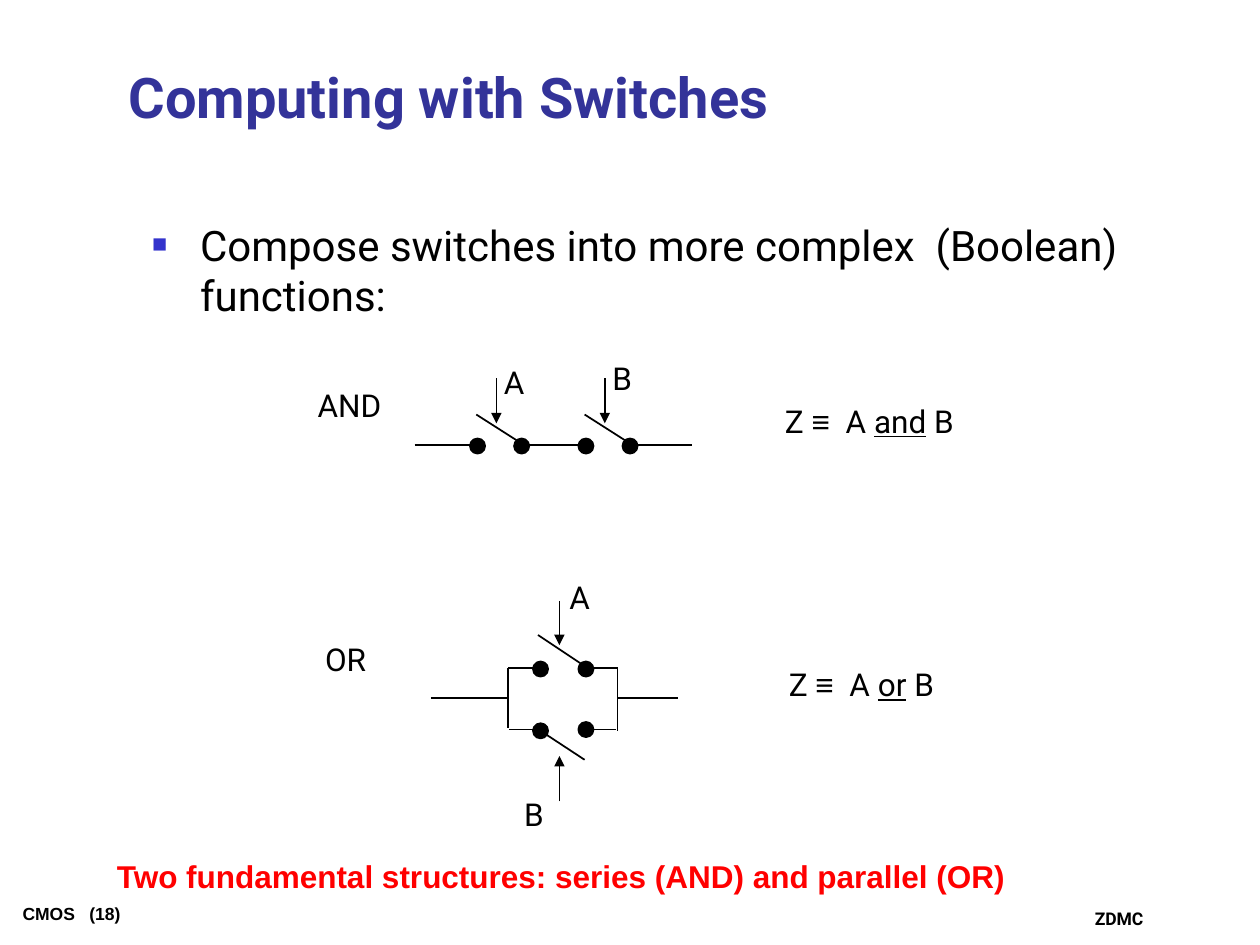
import pptx
import pptx.util
import pptx.dml.color
import pptx.enum.shapes
import pptx.enum.text
import pptx.oxml.ns
from lxml import etree

PX = 9144  # EMU per px, 100 px to the inch
BLACK = "000000"
SHAPES = pptx.enum.shapes
ANCHOR = pptx.enum.text.MSO_ANCHOR

# Content: text, box (left, top, width, height)
TITLE = ("Computing with Switches", (92, 33, 758, 75))
BULLET = ("Compose switches into more complex  (Boolean) functions:", (111, 169, 850, 450))
SUMMARY = ("Two fundamental structures: series (AND) and parallel (OR)", (83, 675, 777, 40))
FOOTER = ("CMOS   (18)", (11, 714, 177, 22))
COURSE = ("ZDMC", (859, 706, 141, 36))

LABELS = [
    ("AND", (250, 297, 99, 49)),
    ("OR", (256, 499, 82, 49)),
    ("A", (398, 279, 60, 49)),
    ("B", (484, 276, 60, 49)),
    ("A", (450, 450, 60, 49)),
    ("B", (414, 622, 60, 49)),
]
EQUATIONS = [("and", (621, 310, 173, 64)), ("or", (624, 519, 159, 64))]

# Series circuit: one wire per step, one switch between wires
SERIES_X, SERIES_Y, STEP, WIRE = 329, 353, 86, 48
SWITCHES = 2

PARALLEL_WIRES = [
    (342, 554, 403, 554), (403, 530, 403, 578),               # input, left rail
    (404, 579, 427, 579), (429, 580, 464, 603), (466, 579, 489, 579),  # lower branch
    (490, 580, 490, 529),                                     # right rail
    (490, 530, 464, 530), (466, 530, 427, 504), (429, 530, 403, 530),  # upper branch
    (490, 554, 538, 554),                                     # output
]
PARALLEL_ARROWS = [(444, 477, 444, 512), (444, 636, 444, 600)]
DOT = 12
PARALLEL_DOTS = [(423, 525), (423, 574), (459, 573), (459, 525)]

prs = pptx.Presentation()
prs.slide_width, prs.slide_height = 1000 * PX, 750 * PX
slide = prs.slides.add_slide(prs.slide_layouts[6])


def rgb(value):
    return pptx.dml.color.RGBColor.from_string(value)


def add_text(runs, box, size=18, font="Roboto", color=BLACK, bold=False,
             insets=(10, 5), wrap=True, anchor=ANCHOR.TOP, line=None, before=0):
    """Runs are a string, or a list of (text, font, underline)."""
    sp = slide.shapes.add_textbox(*(v * PX for v in box))
    tf = sp.text_frame
    tf.word_wrap, tf.vertical_anchor = wrap, anchor
    tf.margin_left = tf.margin_right = insets[0] * PX
    tf.margin_top = tf.margin_bottom = insets[1] * PX
    p = tf.paragraphs[0]
    p.space_before = pptx.util.Pt(before)
    if line:
        p.line_spacing = pptx.util.Pt(line)
    if isinstance(runs, str):
        runs = [(runs, font, False)]
    for text, face, underline in runs:
        r = p.add_run()
        r.text = text
        r.font.name, r.font.size = face, pptx.util.Pt(size)
        r.font.bold, r.font.underline = bold, underline
        r.font.color.rgb = rgb(color)
    return p


def add_bullet(p, char, color, percent, indent):
    pPr = p._p.get_or_add_pPr()
    pPr.set("marL", str(indent * PX))
    pPr.set("indent", str(-indent * PX))
    qn = pptx.oxml.ns.qn
    clr = etree.SubElement(pPr, qn("a:buClr"))
    etree.SubElement(clr, qn("a:srgbClr"), val=color)
    etree.SubElement(pPr, qn("a:buSzPct"), val=str(percent * 1000))
    etree.SubElement(pPr, qn("a:buFont"), typeface="Arial")
    etree.SubElement(pPr, qn("a:buChar"), char=char)


def add_line(ends, arrow=False):
    c = slide.shapes.add_connector(SHAPES.MSO_CONNECTOR.STRAIGHT, *(v * PX for v in ends))
    c.line.color.rgb = rgb(BLACK)
    c.line.width = pptx.util.Pt(1)
    qn = pptx.oxml.ns.qn
    if arrow:
        etree.SubElement(c.line._get_or_add_ln(), qn("a:tailEnd"), type="triangle")
    etree.SubElement(c._element.spPr, qn("a:effectLst"))


def add_dot(x, y):
    sp = slide.shapes.add_shape(SHAPES.MSO_SHAPE.OVAL, x * PX, y * PX, DOT * PX, DOT * PX)
    sp.shadow.inherit = False
    sp.fill.solid()
    sp.fill.fore_color.rgb = rgb(BLACK)
    sp.line.color.rgb = rgb(BLACK)
    sp.line.width = pptx.util.Pt(1)


# Footer
add_text(*COURSE, size=10, bold=True, anchor=ANCHOR.BOTTOM)
add_text(*FOOTER, size=10, font="Arial", bold=True, insets=(7, 3))

# Series circuit
for i in range(SWITCHES + 1):
    x = SERIES_X + i * STEP
    add_line((x, SERIES_Y, x + WIRE, SERIES_Y))
for i in range(SWITCHES):
    x = SERIES_X + i * STEP
    add_line((x + 49, SERIES_Y - 24, x + 85, SERIES_Y - 1))
    add_line((x + 65, 300, x + 65, 336), arrow=True)
    for dx in (44, 79):
        add_dot(x + dx, SERIES_Y - 5)

# Parallel circuit
for ends in PARALLEL_WIRES:
    add_line(ends)
for ends in PARALLEL_ARROWS:
    add_line(ends, arrow=True)
for x, y in PARALLEL_DOTS:
    add_dot(x, y)

# Labels and equations
label_format = dict(insets=(2, 3), wrap=False, line=26)
for text, box in LABELS:
    add_text(text, box, **label_format)
for word, box in EQUATIONS:
    runs = [("Z ", "Roboto", False), ("≡", "Arial", False), ("  A ", "Roboto", False),
            (word, "Roboto", True), (" B", "Roboto", False)]
    add_text(runs, box, before=11, **label_format)

# Title, bullet and summary
add_text(*TITLE, size=32, color="333399", bold=True, anchor=ANCHOR.BOTTOM)
bullet = add_text(*BULLET, size=24, before=5)
add_bullet(bullet, "■", "3333CC", 60, 38)
add_text(*SUMMARY, font="Arial", color="FF0000", bold=True, before=9)

prs.save("out.pptx")
